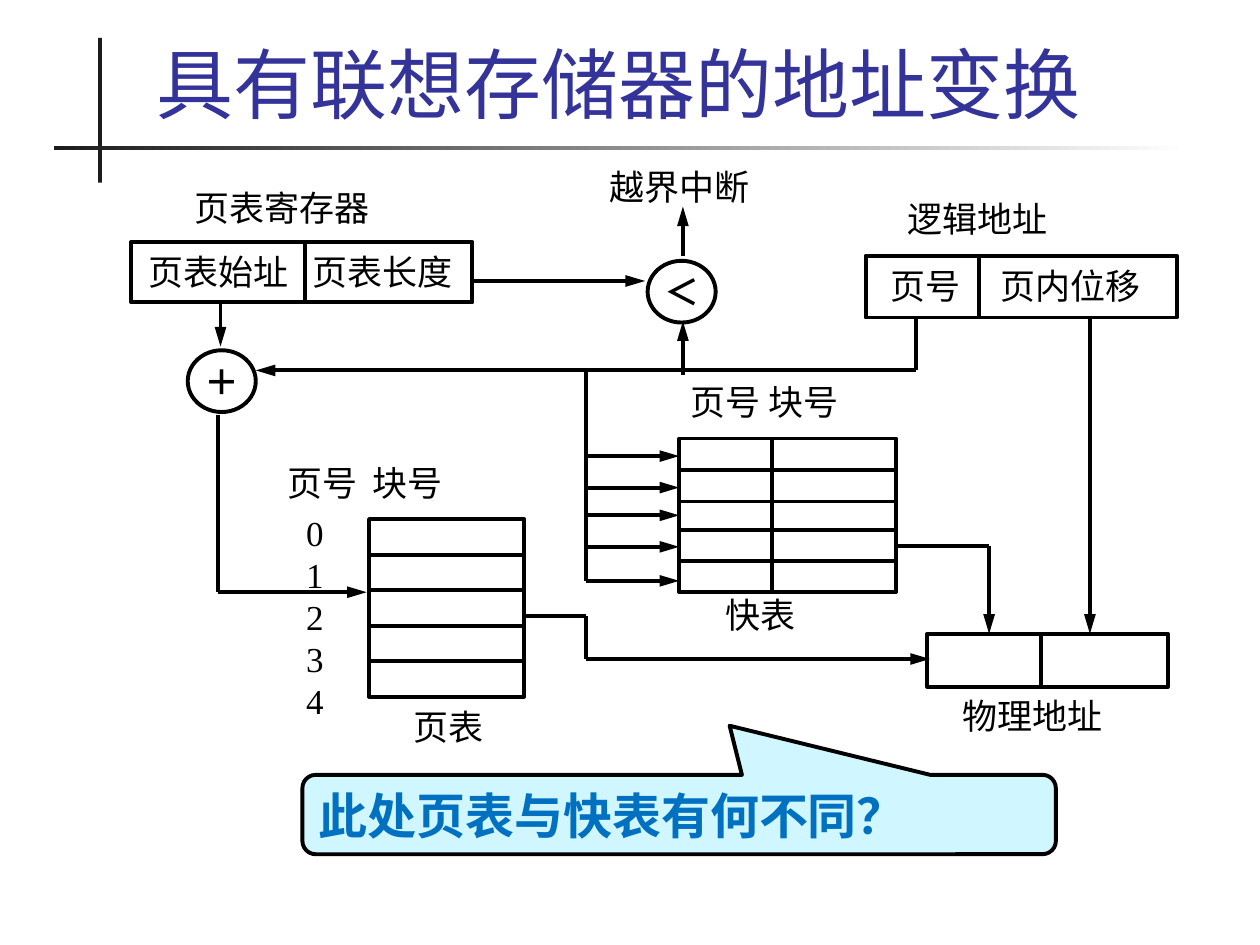
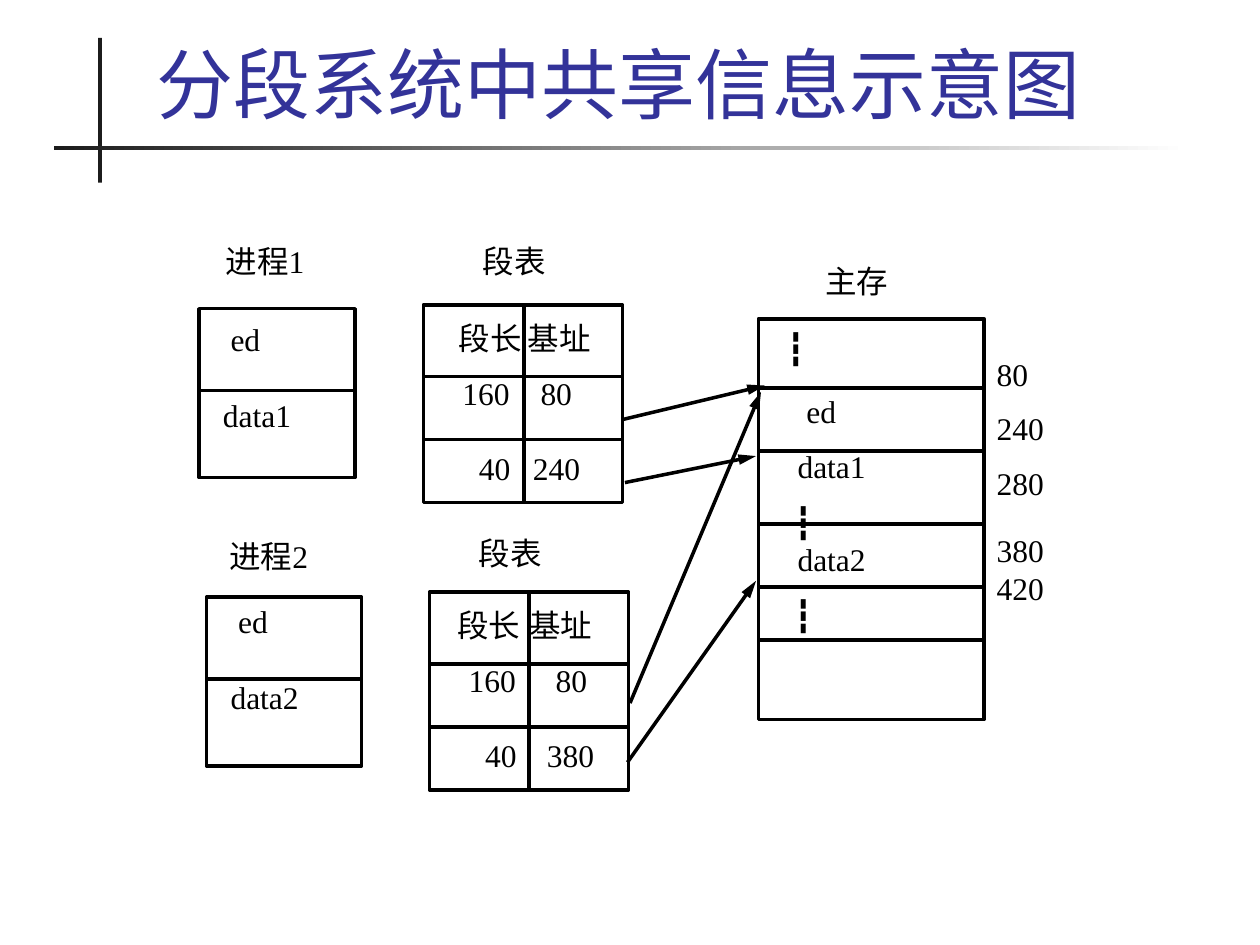
from lxml import etree
from pptx import Presentation
from pptx import util as u
from pptx.dml import color
from pptx.enum import shapes, text
from pptx.oxml import ns

COLORS = {
    "ink": "000000",
    "paper": "FFFFFF",
    "bar": "1C1C1C",
    "title": "333399",
    "callout": "D0F6FF",
    "question": "0070C0",
}
SERIF = "Times New Roman"
CJK = "Noto Sans CJK SC"
TITLE_BOX = (1.14, 0.25, 8.59, 0.82)
ROW_PITCH = 21.6
SHAPE = shapes.MSO_SHAPE
TOP = text.MSO_ANCHOR.TOP
MIDDLE = text.MSO_ANCHOR.MIDDLE


def rgb(name):
    return color.RGBColor.from_string(COLORS[name])


def inches(box):
    return [u.Inches(length) for length in box]


def add_child(parent, tag, **attributes):
    return etree.SubElement(parent, ns.qn(tag), attributes)


def write(frame, rows, *, size=20, font=SERIF, ink="ink", bold=False,
          align=text.PP_ALIGN.LEFT, anchor=TOP, insets=(0, 0, 0, 0), pitch=None):
    """Fill a frame; a row is a string or a tuple of text, indent and space before."""
    frame.word_wrap = True
    frame.vertical_anchor = anchor
    (frame.margin_left, frame.margin_top,
     frame.margin_right, frame.margin_bottom) = inches(insets)
    for index, row in enumerate([rows] if isinstance(rows, str) else rows):
        words, indent, before = (row, 0, 0) if isinstance(row, str) else row
        paragraph = frame.paragraphs[0] if index == 0 else frame.add_paragraph()
        paragraph.alignment = align
        paragraph.space_before = u.Pt(before)
        if pitch:
            paragraph.line_spacing = u.Pt(pitch)
        properties = paragraph._p.get_or_add_pPr()
        properties.set("marL", str(u.Inches(indent)))
        properties.set("indent", "0")
        run = paragraph.add_run()
        run.text = words
        run.font.size = u.Pt(size)
        run.font.bold = bold
        run.font.color.rgb = rgb(ink)
        run.font.name = font
        add_child(run._r.get_or_add_rPr(), "a:ea", typeface=CJK)


def add_label(slide, box, rows, **style):
    write(slide.shapes.add_textbox(*inches(box)).text_frame, rows, **style)


def add_outline(slide, kind, box, width=2.25, fill="paper"):
    shape = slide.shapes.add_shape(kind, *inches(box))
    shape.shadow.inherit = False
    shape.fill.solid()
    shape.fill.fore_color.rgb = rgb(fill)
    shape.line.color.rgb = rgb("ink")
    shape.line.width = u.Pt(width)
    return shape


def add_route(slide, *points, width=2.25, arrow=True):
    """Join the points by straight lines, with an arrowhead at the last one."""
    for start, end in zip(points, points[1:]):
        connector = slide.shapes.add_connector(
            shapes.MSO_CONNECTOR.STRAIGHT, *inches(start + end))
        connector.line.color.rgb = rgb("ink")
        connector.line.width = u.Pt(width)
        properties = connector.element.spPr
        if arrow and end == points[-1]:
            line = properties.find(ns.qn("a:ln"))
            add_child(line, "a:tailEnd", type="triangle", w="med", len="lg")
        add_child(properties, "a:effectLst")


def add_grid(slide, box, columns=(), rows=(), width=2.25):
    """Draw a box with dividers at the given offsets from its left and top."""
    left, top, box_width, height = box
    shape = add_outline(slide, SHAPE.RECTANGLE, box, width)
    for x in columns:
        add_route(slide, (left + x, top), (left + x, top + height),
                  width=width, arrow=False)
    for y in rows:
        add_route(slide, (left, top + y), (left + box_width, top + y),
                  width=width, arrow=False)
    return shape


def add_template_bars(slide):
    """Place the crossing title bars on the layout, shared by all slides."""
    for box, fades in (((0.78, 0.3, 0.03, 1.15), False), ((0.43, 1.16, 9, 0.03), True)):
        bar = slide.shapes.add_shape(SHAPE.RECTANGLE, *inches(box))
        bar.shadow.inherit = False
        bar.line.fill.background()
        if fades:
            bar.fill.gradient()
            bar.fill.gradient_angle = 0
            for stop, name, position in zip(bar.fill.gradient_stops, ("bar", "paper"), (0, 1)):
                stop.color.rgb = rgb(name)
                stop.position = position
        else:
            bar.fill.solid()
            bar.fill.fore_color.rgb = rgb("bar")
        slide.slide_layout.shapes.element.append(bar.element)


def add_titled_slide(presentation, title):
    slide = presentation.slides.add_slide(presentation.slide_layouts[5])
    shape = slide.shapes.title
    shape.left, shape.top, shape.width, shape.height = inches(TITLE_BOX)
    write(shape.text_frame, title, size=44, font="TeX Gyre Schola", ink="title",
          anchor=text.MSO_ANCHOR.BOTTOM, insets=(0.1, 0.05, 0.1, 0.05))
    return slide


def add_split_field(slide, box, caption, caption_box, divider, cells=()):
    """Draw a captioned field in two parts; cells are pairs of words and offset."""
    left, top, _, height = box
    add_label(slide, caption_box, caption)
    add_grid(slide, box, columns=[divider])
    for words, offset in cells:
        add_label(slide, (left + offset, top + 0.07, 1.25, height - 0.07), words)


def add_operator(slide, left, top, sign):
    circle = add_outline(slide, SHAPE.OVAL, (left, top, 0.54, 0.49))
    write(circle.text_frame, sign, bold=True, align=text.PP_ALIGN.CENTER, anchor=MIDDLE)


def add_page_table(slide, left, top):
    width, height, count = 1.23, 1.41, 5
    for words, offset in (("页号", -0.65), ("块号", 0.03)):
        add_label(slide, (left + offset, top - 0.46, 0.65, 0.41), words)
    add_grid(slide, (left, top, width, height),
             rows=[height / count * row for row in range(1, count)])
    add_label(slide, (left - 0.5, top - 0.06, 0.46, 1.47),
              [str(number) for number in range(count)], pitch=24)
    add_label(slide, (left + 0.35, top + 1.48, 0.81, 0.3), "页表")


def add_fast_table(slide, left, top, bus_x, bus_y):
    """Draw the associative table and the bus that searches all its rows."""
    add_label(slide, (left + 0.09, top - 0.46, 1.46, 0.46), "页号 块号")
    add_grid(slide, (left, top, 1.72, 1.22), columns=[0.74], rows=(0.25, 0.5, 0.73, 0.97))
    add_label(slide, (left + 0.37, top + 1.23, 0.82, 0.42), "快表")
    probes = [top + offset for offset in (0.14, 0.39, 0.61, 0.86, 1.13)]
    add_route(slide, (bus_x, bus_y), (bus_x, probes[-1]), arrow=False)
    for y in probes:
        add_route(slide, (bus_x, y), (left, y))


def add_question(slide, box):
    callout = add_outline(slide, SHAPE.ROUNDED_RECTANGULAR_CALLOUT, box, fill="callout")
    for index, value in enumerate((0.067, -1.119, 0.167)):
        callout.adjustments[index] = value
    write(callout.text_frame, "此处页表与快表有何不同？", size=28, font="Karla",
          ink="question", bold=True, anchor=MIDDLE, insets=(0.1, 0.05, 0.1, 0.05))


def build_translation_slide(presentation):
    slide = add_titled_slide(presentation, "具有联想存储器的地址变换")
    add_template_bars(slide)
    add_split_field(slide, (1.04, 1.92, 2.71, 0.48), "页表寄存器", (1.54, 1.48, 1.55, 0.36),
                    1.38, [("页表始址", 0.14), ("页表长度", 1.44)])
    add_split_field(slide, (6.87, 2.03, 2.47, 0.49), "逻辑地址", (7.2, 1.57, 1.25, 0.42),
                    0.9, [("页号", 0.2), ("页内位移", 1.07)])
    add_split_field(slide, (7.36, 5.03, 1.91, 0.42), "物理地址", (7.64, 5.51, 1.46, 0.46), 0.9)
    add_label(slide, (4.84, 1.31, 1.3, 0.44), "越界中断")
    add_operator(slide, 5.14, 2.07, "＜")
    add_operator(slide, 1.49, 2.78, "＋")
    add_page_table(slide, 2.93, 4.12)
    add_fast_table(slide, 5.39, 3.48, 4.65, 2.94)
    for route in (
        [(5.42, 2.03), (5.42, 1.64)],
        [(3.75, 2.23), (5.12, 2.23)],
        [(1.75, 2.39), (1.75, 2.75)],
        [(7.27, 2.53), (7.27, 2.94), (2.03, 2.94)],
        [(5.42, 2.98), (5.42, 2.55)],
        [(1.73, 3.29), (1.73, 4.7), (2.91, 4.7)],
        [(4.16, 4.89), (4.65, 4.89), (4.65, 5.23), (7.38, 5.23)],
        [(7.11, 4.33), (7.85, 4.33), (7.85, 5.03)],
        [(8.65, 2.53), (8.65, 5.03)],
    ):
        add_route(slide, *route)
    add_question(slide, (2.4, 6.15, 5.98, 0.63))


def add_process(slide, box, name, name_at, data, inset):
    add_label(slide, (*name_at, 0.87, 0.42), name, size=18)
    process = add_grid(slide, box, rows=[0.65], width=2)
    write(process.text_frame, [("ed", 0.25, 0), (data, 0.19, ROW_PITCH)],
          size=18, pitch=ROW_PITCH, insets=(0, inset, 0, 0))


def add_segment_table(slide, left, top, caption_at, divider, length_indent, bases):
    """Draw a table of lengths and bases; bases are pairs of words and indent."""
    add_label(slide, (*caption_at, 0.87, 0.42), "段表", size=18)
    add_grid(slide, (left, top, 1.58, 1.57), columns=[divider], rows=(0.57, 1.07), width=2)
    lengths = (("段长", length_indent), ("160", 0.31), ("40", 0.44))
    for offset, cells in ((0, lengths), (divider, bases)):
        add_label(slide, (left + offset, top + 0.11, 0.85, 1.4),
                  [(*cell, before) for cell, before in zip(cells, (0, 10, 21))],
                  size=18, pitch=ROW_PITCH)


def add_main_memory(slide, left, top):
    add_label(slide, (left + 0.53, top - 0.45, 0.87, 0.42), "主存", size=18)
    memory = add_grid(slide, (left, top, 1.79, 3.18),
                      rows=(0.55, 1.05, 1.63, 2.13, 2.55), width=2)
    contents = (("┇", 0.22, 0), ("ed", 0.38, 14.5), ("data1", 0.31, 10),
                ("┇", 0.28, 10), ("data2", 0.31, 0), ("┇", 0.28, 10))
    write(memory.text_frame, contents,
          size=18, pitch=ROW_PITCH, insets=(0, 0.08, 0, 0))
    addresses = (("80", 0), ("240", 9), ("280", 10), ("380", 16.5), ("420", 0))
    add_label(slide, (left + 1.89, top + 0.29, 0.51, 2.52),
              [(address, 0, before) for address, before in addresses],
              size=18, pitch=ROW_PITCH)


def build_sharing_slide(presentation):
    slide = add_titled_slide(presentation, "分段系统中共享信息示意图")
    add_process(slide, (1.58, 2.45, 1.24, 1.34), "进程1", (1.79, 1.92), "data1", 0.09)
    add_process(slide, (1.64, 4.74, 1.23, 1.34), "进程2", (1.82, 4.26), "data2", 0.04)
    add_segment_table(slide, 3.36, 2.42, (3.83, 1.92), 0.8, 0.28,
                      (("基址", 0.03), ("80", 0.13), ("240", 0.07)))
    add_segment_table(slide, 3.41, 4.7, (3.8, 4.24), 0.79, 0.22,
                      (("基址", 0), ("80", 0.21), ("380", 0.14)))
    add_main_memory(slide, 6.02, 2.53)
    for start, end in (
        ((4.94, 3.33), (6.07, 3.06)),
        ((4.96, 3.83), (6, 3.62)),
        ((5, 5.58), (6.04, 3.11)),
        ((4.98, 6.05), (6, 4.61)),
    ):
        add_route(slide, start, end, width=2)


def main():
    presentation = Presentation()
    presentation.slide_width, presentation.slide_height = inches((10, 7.5))
    build_translation_slide(presentation)
    build_sharing_slide(presentation)
    presentation.save("out.pptx")


if __name__ == "__main__":
    main()
